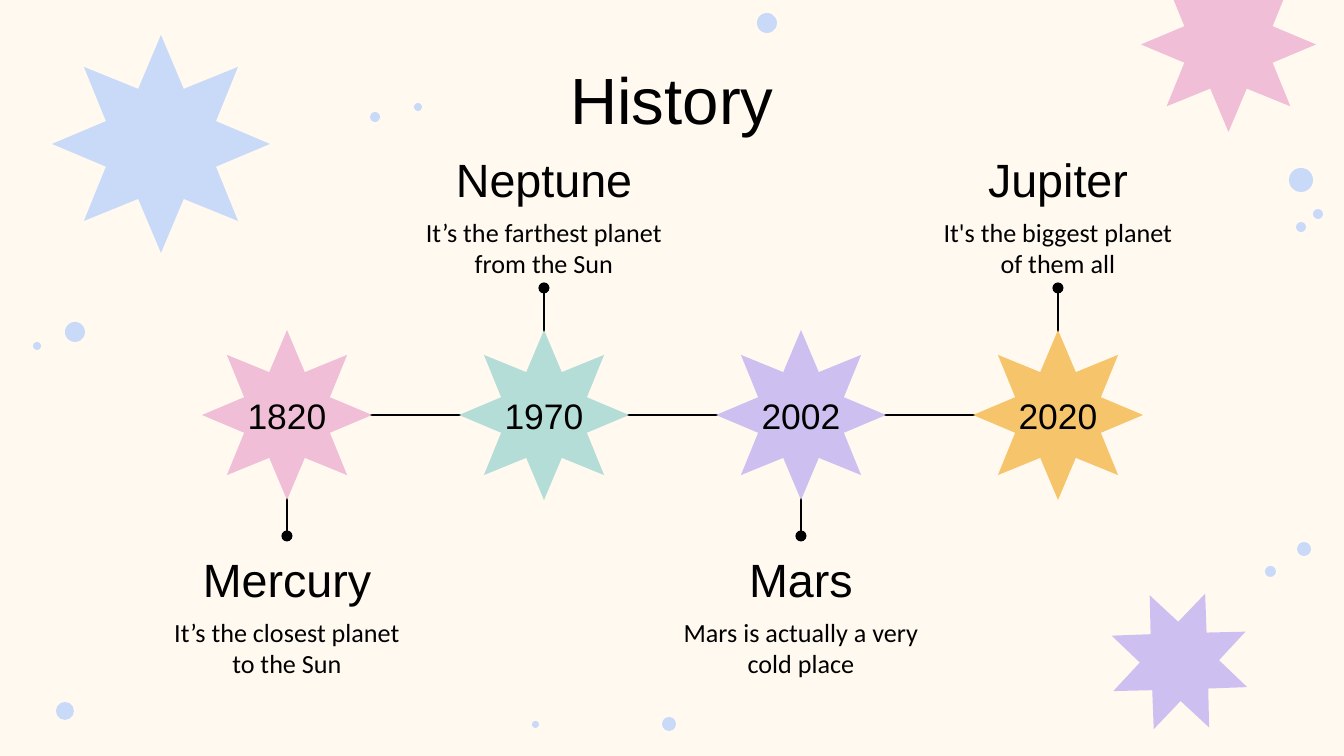
from lxml import etree
from pptx import Presentation
from pptx import util as u
from pptx.dml.color import RGBColor
from pptx.enum import shapes, text
from pptx.oxml import ns

PX = 914400 / 134.4
COLORS = {
    "cream": "FFF9F0",
    "black": "000000",
    "blue": "C9DAF8",
    "pink": "F0BED6",
    "mint": "B4DDD8",
    "lilac": "CDC0F0",
    "orange": "F6C46B",
}
FORMATS = {
    "title": {"name": "Arial", "size": u.Pt(35)},
    "planet": {"name": "Arial", "size": u.Pt(25)},
    "year": {"name": "Arial", "size": u.Pt(19)},
    "detail": {"name": "Calibri", "size": u.Pt(14)},
}


def px(*lengths):
    return [u.Emu(round(length * PX)) for length in lengths]


def write(shape, words, style, anchor=text.MSO_ANCHOR.TOP):
    frame = shape.text_frame
    frame_format = {
        "word_wrap": True,
        "auto_size": text.MSO_AUTO_SIZE.NONE,
        "vertical_anchor": anchor,
        "text": words,
    }
    for side in ("left", "right", "top", "bottom"):
        frame_format[f"margin_{side}"] = u.Inches(0.1)
    for attribute, value in frame_format.items():
        setattr(frame, attribute, value)
    paragraph = frame.paragraphs[0]
    paragraph.alignment = text.PP_ALIGN.CENTER
    for attribute, value in FORMATS[style].items():
        setattr(paragraph.font, attribute, value)
    paragraph.font.color.rgb = RGBColor.from_string(COLORS["black"])


presentation = Presentation()
presentation.slide_width, presentation.slide_height = px(1344, 756)
slide = presentation.slides.add_slide(presentation.slide_layouts[5])
background = slide.background.fill
background.solid()
background.fore_color.rgb = RGBColor.from_string(COLORS["cream"])

# Timeline entries: year, star colour, planet, detail
entries = [
    ("1820", "pink", "Mercury", "It’s the closest planet to the Sun"),
    ("1970", "mint", "Neptune", "It’s the farthest planet from the Sun"),
    ("2002", "lilac", "Mars", "Mars is actually a very cold place"),
    ("2020", "orange", "Jupiter", "It's the biggest planet of them all"),
]
centers = [287 + 257 * index for index in range(len(entries))]
axis = 415

# Connectors: stems with a dot at the tip, then links between the stars
lines = []
for index, center in enumerate(centers):
    tip = 288 if index % 2 else 536
    lines.append((center, axis, center, tip, True))
for left, right in zip(centers, centers[1:]):
    lines.append((left + 73, axis, right - 73, axis, False))

for *ends, dotted in lines:
    connector = slide.shapes.add_connector(shapes.MSO_CONNECTOR.STRAIGHT, *px(*ends))
    connector.line.width = u.Pt(1.5)
    connector.line.color.rgb = RGBColor.from_string(COLORS["black"])
    if dotted:
        outline = connector.line._get_or_add_ln()
        etree.SubElement(outline, ns.qn("a:tailEnd"), type="oval")
    etree.SubElement(connector._element.spPr, ns.qn("a:effectLst"))

# Dots (left, top, size) and stars (left, top, size, colour, rotation)
dots = [
    (1289, 168, 24), (1296, 222, 10), (1313, 209, 10), (370, 112, 10),
    (757, 13, 20), (1297, 542, 14), (1265, 566, 11), (56, 702, 18),
    (532, 721, 7), (662, 717, 14), (65, 322, 20), (33, 342, 8), (414, 103, 8),
]
stars = [
    (1107, 589, 145, "lilac", 20.8),
    (1141, -43, 175, "pink", 0),
    (52, 35, 218, "blue", 0),
]
for center, (year, color, planet, detail) in zip(centers, entries):
    stars.append((center - 85, axis - 85, 170, color, 0))

ornaments = [(shapes.MSO_SHAPE.OVAL, *dot, "blue", 0) for dot in dots]
ornaments += [(shapes.MSO_SHAPE.STAR_8_POINT, *star) for star in stars]
for kind, left, top, size, color, rotation in ornaments:
    shape = slide.shapes.add_shape(kind, *px(left, top, size, size))
    shape.shadow.inherit = False
    shape.fill.solid()
    shape.fill.fore_color.rgb = RGBColor.from_string(COLORS[color])
    shape.line.fill.background()
    shape.rotation = rotation
    if kind == shapes.MSO_SHAPE.STAR_8_POINT:
        shape.adjustments[0] = 0.273

# Title
title = slide.shapes.title
title.left, title.top, title.width, title.height = px(117, 46, 1110, 83)
write(title, "History", "title")

# Years and planet labels, alternating below and above the axis
for index, (center, entry) in enumerate(zip(centers, entries)):
    year, color, planet, detail = entry
    top = 137 if index % 2 else 537
    labels = [
        (year, "year", axis - 33, 147, 67, text.MSO_ANCHOR.MIDDLE),
        (planet, "planet", top, 267, 67, text.MSO_ANCHOR.TOP),
        (detail, "detail", top + 66, 267, 83 if index % 2 else 71, text.MSO_ANCHOR.TOP),
    ]
    for words, style, label_top, width, height, anchor in labels:
        box = slide.shapes.add_textbox(*px(center - width / 2, label_top, width, height))
        write(box, words, style, anchor)

presentation.save("out.pptx")
